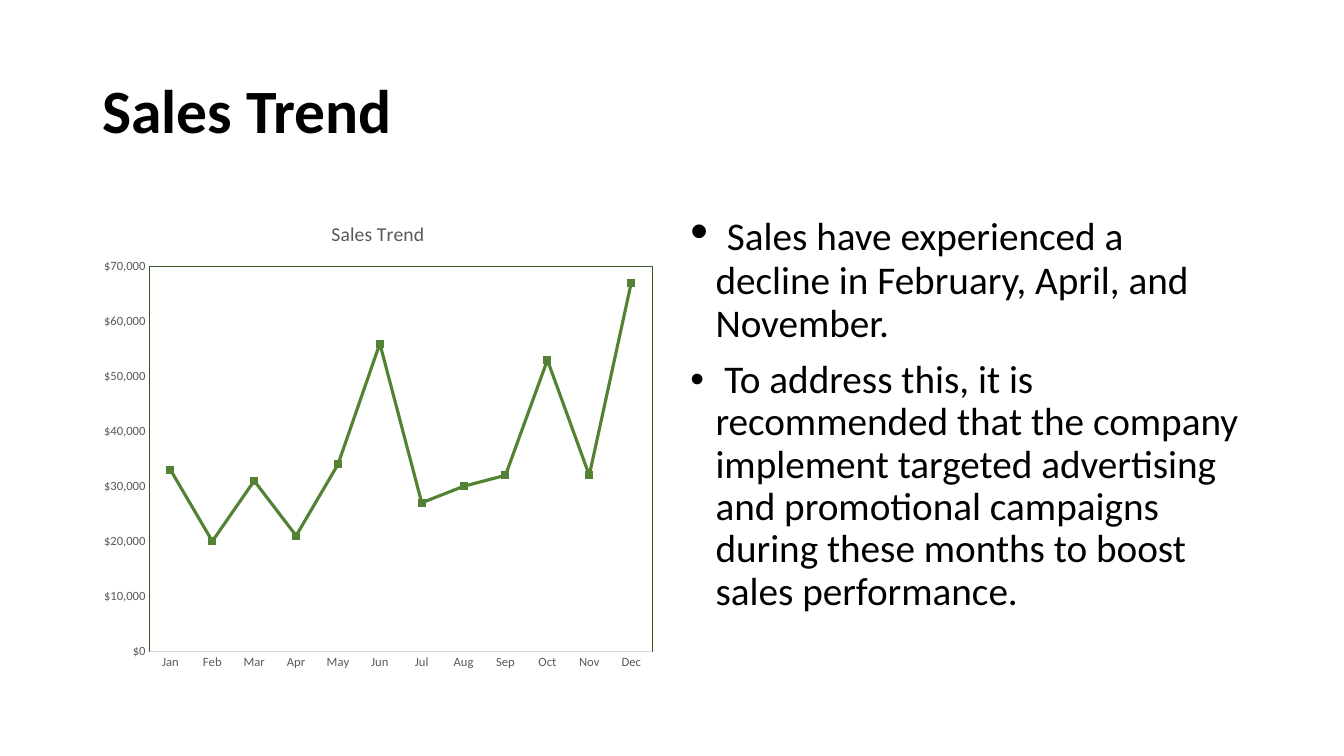
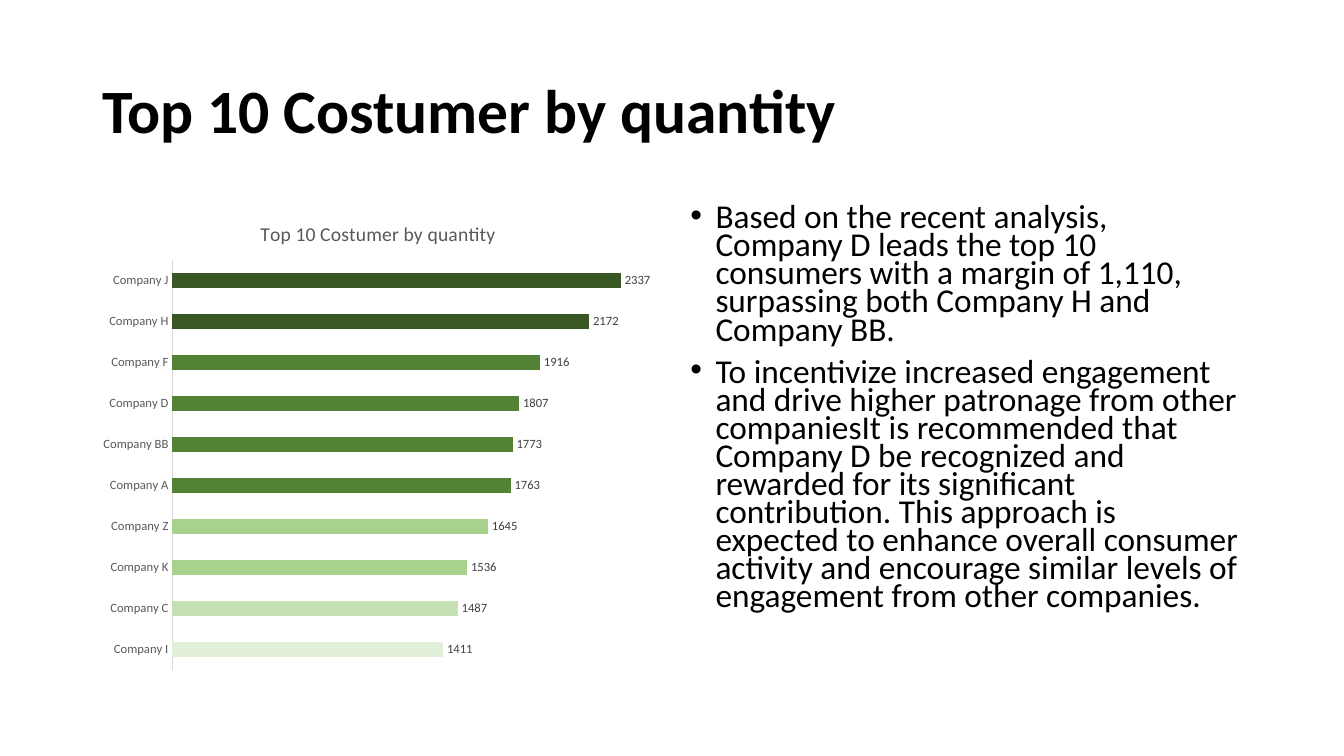
"""Two slides, each with a title, a chart on the left and bullets on the right."""
from lxml.etree import SubElement as Sub
from pptx import Presentation
from pptx.chart.data import CategoryChartData as Data
from pptx.dml.color import RGBColor as RGB
from pptx.enum.chart import XL_CHART_TYPE as Type, XL_LABEL_POSITION as Pos, XL_TICK_MARK as Tick
from pptx.enum.text import MSO_ANCHOR as Anchor
from pptx.oxml import parse_xml
from pptx.oxml.ns import nsdecls, qn
from pptx.util import Inches, Pt

FONT = "Calibri"
INK = {"text": "000000", "axis": "595959", "label": "404040", "rule": "D9D9D9",
       "deep": "385723", "green": "548235", "soft": "A9D18E", "pale": "C5E0B4", "mist": "E2F0D9"}

deck = Presentation()
deck.slide_width, deck.slide_height = Inches(13.33), Inches(7.5)
COL, ROW = deck.slide_width / 160, deck.slide_height / 150
HEAD = (11, 8, 138, 29)
LEFT = (11, 40, 68, 95)
RIGHT = (81, 40, 68, 95)


def grid(x, y, w, h):
    return int(x * COL), int(y * ROW), int(w * COL), int(h * ROW)


def style(font, size, ink, bold=False):
    font.name, font.size, font.bold = FONT, Pt(size), bold
    font.color.rgb = RGB.from_string(INK[ink])


pages = [
    {"title": "Sales Trend", "type": Type.LINE, "max": 70000, "plot": (0.1, 0.136, 0.88, 0.803),
     "cats": "Jan Feb Mar Apr May Jun Jul Aug Sep Oct Nov Dec".split(),
     "vals": [33000, 20000, 31000, 21000, 34000, 56000, 27000, 30000, 32000, 53000, 32000, 67000],
     "size": 28, "lead": 0.9, "body": [
         [(" ", 36, True),
          ("Sales have experienced a decline in February, April, and November.", 28, False)],
         [(" To address this, it is recommended that the company implement targeted advertising "
           "and promotional campaigns during these months to boost sales performance.", 28, False)]]},
    {"title": "Top 10 Costumer by quantity", "type": Type.BAR_CLUSTERED, "max": 2500,
     "plot": (0.14, 0.122, 0.84, 0.857),
     "cats": ["Company " + name for name in "I C K Z A BB D F H J".split()],
     "vals": [1411, 1487, 1536, 1645, 1763, 1773, 1807, 1916, 2172, 2337],
     "inks": ["mist", "pale"] + ["soft"] * 2 + ["green"] * 4 + ["deep"] * 2,
     "lead": 0.7, "body": [
         [("Based on the recent analysis, Company D leads the top 10 consumers with a margin "
           "of 1,110, surpassing both Company H and Company BB.", 23.8, False)],
         [("To incentivize increased engagement and drive higher patronage from other companiesIt "
           "is recommended that Company D be recognized and rewarded for its significant "
           "contribution. This approach is expected to enhance overall consumer activity and "
           "encourage similar levels of engagement from other companies.", 23.8, False)]]},
]

for page in pages:
    slide = deck.slides.add_slide(deck.slide_layouts[6])

    head = slide.shapes.add_textbox(*grid(*HEAD)).text_frame
    head.word_wrap, head.vertical_anchor = True, Anchor.MIDDLE
    head.text = page["title"]
    head.paragraphs[0].line_spacing = 0.9
    style(head.paragraphs[0].runs[0].font, 44, "text", True)

    data = Data()
    data.categories = page["cats"]
    data.add_series("Series 1", page["vals"])
    chart = slide.shapes.add_chart(page["type"], *grid(*LEFT), data).chart
    style(chart.font, 10, "text")
    chart.has_legend = False
    chart.has_title = True
    chart.chart_title.text_frame.text = page["title"]
    style(chart.chart_title.text_frame.paragraphs[0].runs[0].font, 14, "axis")

    cats, vals = chart.category_axis, chart.value_axis
    for axis in (cats, vals):
        axis.major_tick_mark = axis.minor_tick_mark = Tick.NONE
        axis.has_major_gridlines = False
        style(axis.tick_labels.font, 9, "axis")
    cats.format.line.color.rgb = RGB.from_string(INK["rule"])
    cats.format.line.width = Pt(0.75)
    vals.minimum_scale, vals.maximum_scale = 0, page["max"]
    vals.format.line.fill.background()

    area = chart.plots[0]
    area.vary_by_categories = False
    line = area.series[0]
    frame = chart.element.find(".//" + qn("c:plotArea"))
    for old in frame.findall(qn("c:layout")):
        frame.remove(old)
    layout = parse_xml(f"<c:layout {nsdecls('c')}/>")
    frame.insert(0, layout)
    manual = Sub(layout, qn("c:manualLayout"))
    rules = [("layoutTarget", "inner"), ("xMode", "edge"), ("yMode", "edge")]
    for tag, val in rules + list(zip("xywh", page["plot"])):
        Sub(manual, qn("c:" + tag)).set("val", str(val))

    if page["type"] == Type.LINE:
        line.smooth = False
        line.format.line.color.rgb = RGB.from_string(INK["green"])
        line.format.line.width = Pt(2.25)
        line.marker.style = None
        vals.major_unit = 10000
        vals.tick_labels.number_format = '"$"#,##0'
        vals.tick_labels.number_format_is_linked = False
        frame.append(parse_xml(
            f'<c:spPr {nsdecls("c", "a")}><a:noFill/><a:ln w="9525"><a:solidFill>'
            f'<a:srgbClr val="{INK["deep"]}"/></a:solidFill></a:ln></c:spPr>'))
    else:
        vals.visible = False
        area.gap_width = 182
        for i, ink in enumerate(page["inks"]):
            fill = line.points[i].format.fill
            fill.solid()
            fill.fore_color.rgb = RGB.from_string(INK[ink])
        area.has_data_labels = True
        tags = area.data_labels
        tags.show_value, tags.position = True, Pos.OUTSIDE_END
        style(tags.font, 9, "label")

    body = slide.shapes.add_textbox(*grid(*RIGHT)).text_frame
    body.word_wrap = True
    for i, parts in enumerate(page["body"]):
        para = body.add_paragraph() if i else body.paragraphs[0]
        para.line_spacing, para.space_before = page["lead"], Pt(10)
        props = para._p.get_or_add_pPr()
        props.set("marL", str(Inches(0.25)))
        props.set("indent", str(-Inches(0.25)))
        Sub(props, qn("a:buFont")).set("typeface", "Arial")
        Sub(props, qn("a:buChar")).set("char", "•")
        for text, size, bold in parts:
            run = para.add_run()
            run.text = text
            style(run.font, size, "text", bold)

deck.save("out.pptx")
